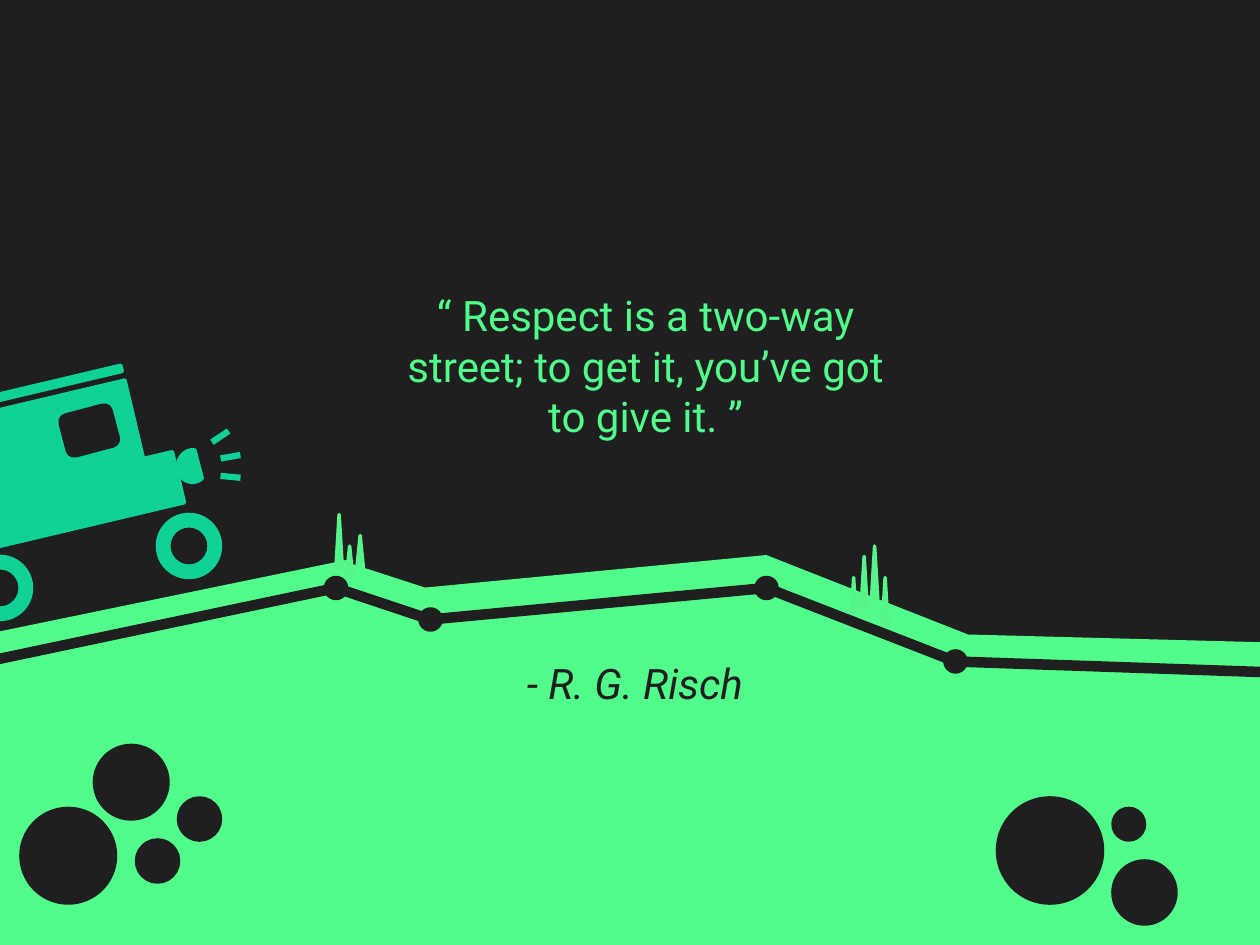
"""Builds a quote slide with a car on a hilly road."""
import pptx
import pptx.util
import pptx.dml.color
import pptx.enum.shapes
import pptx.enum.text
import pptx.oxml.ns
import lxml.etree

Pt = pptx.util.Pt
RGB = pptx.dml.color.RGBColor
KIND = pptx.enum.shapes.MSO_SHAPE
ALIGN = pptx.enum.text.PP_ALIGN

DARK = RGB(0x1F, 0x1F, 0x1F)
GREEN = RGB(0x52, 0xFC, 0x8B)
GRASS = RGB(0x56, 0xF4, 0x8B)
TEAL = RGB(0x10, 0xD2, 0x96)

QUOTE = "“ Respect is a two-way street; to get it, you’ve got to give it. ”"
AUTHOR = "- R. G. Risch"

GROUND = [(-30, 368), (201, 320.4), (196.6, 321.8), (247.7, 338.4), (226, 338.4),
          (437.8, 318.2), (553, 363.6), (720, 368), (720, 554), (-30, 554)]
WHEELS = [(90, 294), (-18, 318)]
CAR = [
    (KIND.RECTANGLE, -22.3, 272.2, 126, 30, 346.7, TEAL),
    (KIND.RECTANGLE, -54, 231.8, 132.5, 46, 346.7, TEAL),
    (KIND.CHORD, 101.5, 257, 17.3, 18.7, 7.4, TEAL),
    (KIND.ROUNDED_RECTANGLE, 36, 234, 30, 24, 345.2, DARK),
    (KIND.RECTANGLE, -61.2, 223.9, 132.5, 3.6, 346.7, TEAL),
]
BEAMS = [(126, 270.7, 5.3), (120.2, 247.7, 326.1), (126, 259.2, 350.1)]
BLADES = [(198, 312, 18), (204, 306, 18), (192, 294, 30), (498, 312, 30),
          (504, 330, 30), (492, 318, 30), (486, 330, 30)]
STONES = [(570, 456, 60), (636, 462, 18), (636, 492, 36), (54, 426, 42),
          (102, 456, 24), (78, 480, 24), (12, 462, 54)]
ROAD = [(-36, 384), (192, 336), (246, 354), (438, 336), (546, 378), (720, 384)]
JOINT = 12


def paint(s, fill, line=2):
    s.shadow.inherit = False
    s.fill.solid()
    s.fill.fore_color.rgb = fill
    if line:
        s.line.color.rgb = fill
        s.line.width = Pt(line)
    else:
        s.line.fill.background()


def shape(kind, x, y, w, h, turn=0, fill=DARK, line=2):
    s = shapes.add_shape(kind, Pt(x), Pt(y), Pt(w), Pt(h))
    s.rotation = turn
    paint(s, fill, line)
    return s


def text(words, x, y, w, h, color=GREEN, align=ALIGN.LEFT, italic=False):
    tf = shapes.add_textbox(Pt(x), Pt(y), Pt(w), Pt(h)).text_frame
    tf.word_wrap = True
    p = tf.paragraphs[0]
    p.alignment = align
    p.space_after = Pt(6)
    r = p.add_run()
    r.text = words
    r.font.name = "Roboto"
    r.font.size = Pt(24)
    r.font.italic = italic
    r.font.color.rgb = color


def road(start, end):
    s = shapes.add_connector(pptx.enum.shapes.MSO_CONNECTOR.STRAIGHT,
                             *(Pt(v) for v in start + end))
    s.line.color.rgb = DARK
    s.line.width = Pt(6)
    lxml.etree.SubElement(s._element.spPr, pptx.oxml.ns.qn("a:effectLst"))


prs = pptx.Presentation()
prs.slide_width, prs.slide_height = Pt(720), Pt(540)
slide = prs.slides.add_slide(prs.slide_layouts[6])
slide.background.fill.solid()
slide.background.fill.fore_color.rgb = DARK
shapes = slide.shapes

text(QUOTE, 222, 162, 293.8, 94.3, align=ALIGN.CENTER)
outline = shapes.build_freeform(*(Pt(v) for v in GROUND[0]), scale=1.0)
outline.add_line_segments([(Pt(x), Pt(y)) for x, y in GROUND[1:]], close=True)
paint(outline.convert_to_shape(), GREEN)
text(AUTHOR, 294, 372, 186, 36, color=DARK, italic=True)

for x, y in WHEELS:
    shape(KIND.DONUT, x, y, 36, 36, fill=TEAL).adjustments[0] = 0.179
for part in CAR:
    shape(*part)
for x, y, turn in BEAMS:
    shape(KIND.RECTANGLE, x, y, 11.5, 3.6, turn, TEAL, line=0)
for x, y, h in BLADES:
    shape(KIND.ISOSCELES_TRIANGLE, x, y, 3.6, h, fill=GRASS)
for x, y, size in STONES:
    shape(KIND.OVAL, x, y, size, size)
for start, end in zip(ROAD, ROAD[1:]):
    road(start, end)
for x, y in ROAD[1:-1]:
    shape(KIND.OVAL, x - JOINT / 2, y - JOINT / 2, JOINT, JOINT)

prs.save("out.pptx")
